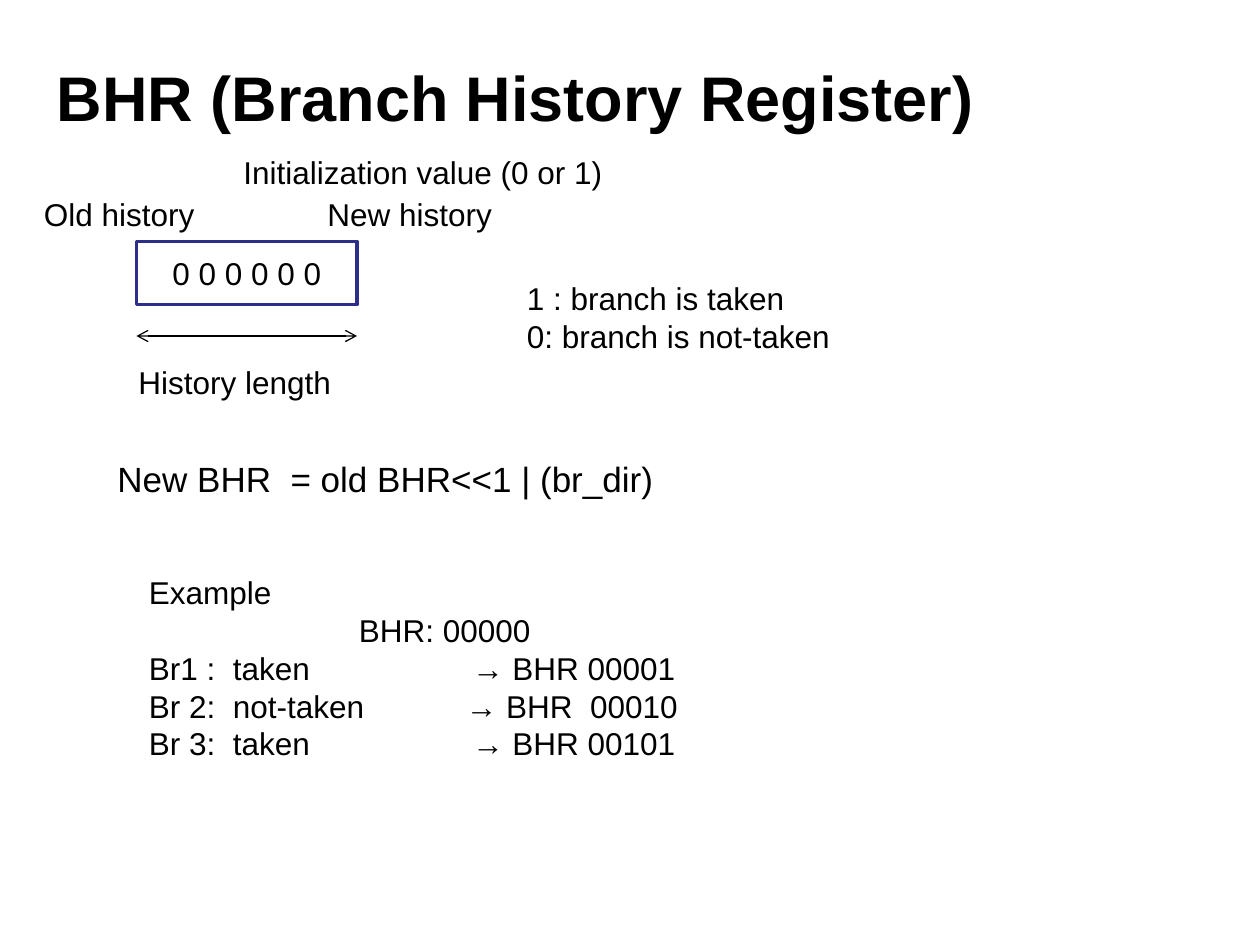
"""Build the slide that explains the branch history register."""
from dataclasses import dataclass

from lxml import etree
from pptx import Presentation
from pptx.dml.color import RGBColor
from pptx.enum.shapes import MSO_CONNECTOR, MSO_SHAPE
from pptx.enum.text import MSO_ANCHOR, MSO_AUTO_SIZE, PP_ALIGN
from pptx.oxml.ns import qn
from pptx.util import Inches, Length, Pt

RECTANGLE = MSO_SHAPE.RECTANGLE
STRAIGHT = MSO_CONNECTOR.STRAIGHT
MIDDLE = MSO_ANCHOR.MIDDLE
LEFT, CENTER = PP_ALIGN.LEFT, PP_ALIGN.CENTER
FIT_SHAPE = MSO_AUTO_SIZE.SHAPE_TO_FIT_TEXT

COLORS = {"text": "000000", "register": "2D2D8A"}
FONT = "Arial"
TITLE_ONLY = 5
CELLS_PER_INCH = 12
REGISTER_COLUMN, REGISTER_WIDTH = 13, 21


@dataclass(frozen=True)
class Label:
    column: float
    row: float
    width: float
    height: float
    lines: tuple[str, ...]
    size: int = 18
    wrap: bool = False


@dataclass(frozen=True)
class Line:
    text: str
    indent: float = 0
    tab: float = 0


LABELS = (
    Label(12, 34, 21.72, 4.8, (Line("History length"),)),
    Label(22, 14, 37.8, 4.8, (Line("Initialization value (0 or 1)"),)),
    Label(49, 26, 32.16, 8.52,
          (Line("1 : branch is taken"), Line("0: branch is not-taken"))),
    Label(3, 18, 17.76, 4.8, (Line("Old history"),)),
    Label(30, 18, 19.08, 4.8, (Line("New history"),)),
    Label(10, 43, 54.84, 5.28, (Line("New BHR  = old BHR<<1 | (br_dir)"),), size=20),
    Label(13, 54, 79, 23, (
        Line("Example"),
        Line("BHR: 00000", indent=20),
        Line("Br1 :  taken\t→ BHR 00001", tab=30.8),
        Line("Br 2:  not-taken\t→ BHR  00010", tab=30.2),
        Line("Br 3:  taken\t→ BHR 00101", tab=30.8),
    ), wrap=True),
)


def cells(count: float) -> Length:
    """Convert grid cells to a length."""
    return Inches(count / CELLS_PER_INCH)


def color(name: str) -> RGBColor:
    """Look up a named colour."""
    return RGBColor.from_string(COLORS[name])


def style_paragraph(para, size: int, align=LEFT, bold: bool = False) -> None:
    """Set the alignment and font of a paragraph."""
    para.alignment = align
    para.font.name = FONT
    para.font.size = Pt(size)
    para.font.bold = bold
    para.font.color.rgb = color("text")


def indent_paragraph(para, line: Line) -> None:
    """Apply the left indent and tab stop of a line."""
    properties = para._p.get_or_add_pPr()
    if line.indent:
        properties.set("marL", str(cells(line.indent)))
    if line.tab:
        stops = etree.SubElement(properties, qn("a:tabLst"))
        etree.SubElement(stops, qn("a:tab"), pos=str(cells(line.tab)), algn="l")


def add_title(page, text: str) -> None:
    """Place and format the title placeholder."""
    title = page.shapes.title
    title.left, title.top = Inches(0.35), Inches(0.35)
    title.width, title.height = Inches(9), Inches(0.83)
    title.text_frame.text = text
    title.text_frame.vertical_anchor = MIDDLE
    style_paragraph(title.text_frame.paragraphs[0], 36, bold=True)


def add_label(page, label: Label) -> None:
    """Add a text box with one paragraph for each line."""
    box = page.shapes.add_textbox(cells(label.column), cells(label.row),
                                  cells(label.width), cells(label.height))
    frame = box.text_frame
    frame.word_wrap = label.wrap
    frame.auto_size = FIT_SHAPE
    for index, line in enumerate(label.lines):
        para = frame.add_paragraph() if index else frame.paragraphs[0]
        para.text = line.text
        indent_paragraph(para, line)
        style_paragraph(para, label.size)


def add_register(page, bits: str) -> None:
    """Add the outlined register with its bits."""
    box = page.shapes.add_shape(RECTANGLE, cells(REGISTER_COLUMN), cells(23),
                                cells(REGISTER_WIDTH), cells(6))
    box.shadow.inherit = False
    box.fill.background()
    box.line.color.rgb = color("register")
    box.line.width = Pt(2)
    box.text_frame.text = bits
    box.text_frame.vertical_anchor = MIDDLE
    style_paragraph(box.text_frame.paragraphs[0], 18, CENTER)


def add_length_arrow(page, row: float) -> None:
    """Add the double arrow that spans the register."""
    arrow = page.shapes.add_connector(
        STRAIGHT, cells(REGISTER_COLUMN), cells(row),
        cells(REGISTER_COLUMN + REGISTER_WIDTH), cells(row))
    arrow.line.color.rgb = color("text")
    arrow.line.width = Pt(0.75)
    outline = arrow.line._get_or_add_ln()
    for end in ("a:headEnd", "a:tailEnd"):
        etree.SubElement(outline, qn(end), type="arrow")
    etree.SubElement(arrow._element.spPr, qn("a:effectLst"))


def main() -> None:
    """Create and save the deck."""
    deck = Presentation()
    deck.slide_width, deck.slide_height = Inches(10), Inches(7.5)
    page = deck.slides.add_slide(deck.slide_layouts[TITLE_ONLY])
    add_title(page, "BHR (Branch History Register)")
    add_register(page, "0 0 0 0 0 0")
    add_length_arrow(page, 32)
    for label in LABELS:
        add_label(page, label)
    deck.save("out.pptx")


if __name__ == "__main__":
    main()
